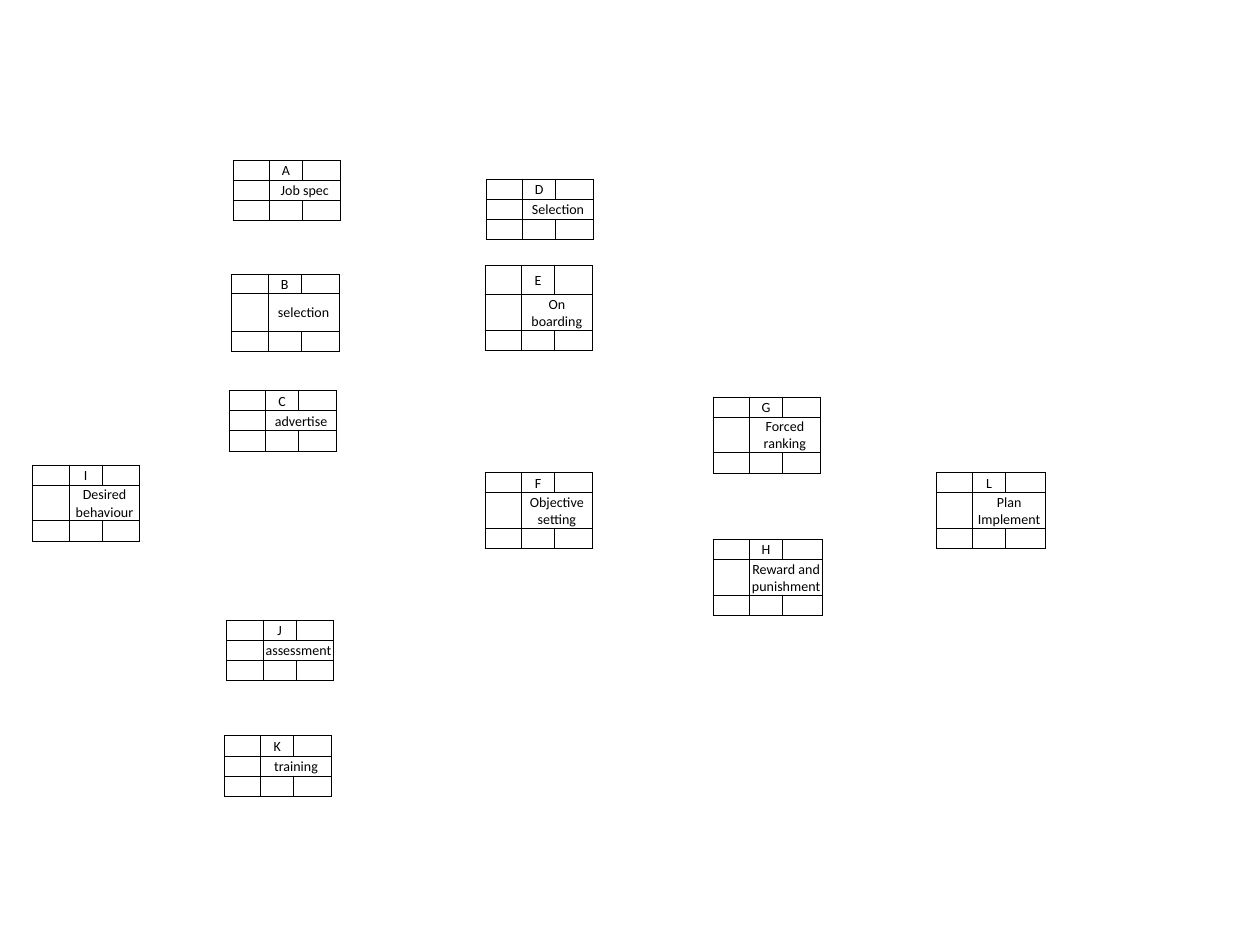
from lxml import etree
from pptx import Presentation
from pptx.dml.color import RGBColor
from pptx.enum import text
from pptx.oxml import ns
from pptx.util import Inches, Pt

BLACK = RGBColor(0, 0, 0)
FONT, SIZE, BORDER = "Calibri", Pt(8), Pt(0.5)
COLS = (0.29, 0.26, 0.3)
WIDE = (0.29, 0.26, 0.32)
ONE_LINE = (0.16, 0.16, 0.16)
TWO_LINES = (0.16, 0.28, 0.16)

# Activity boxes: letter, task, left, top, row heights, column widths
ACTIVITIES = [
    ("I", "Desired behaviour", 0.26, 3.69, TWO_LINES, COLS),
    ("A", "Job spec", 1.85, 1.27, ONE_LINE, COLS),
    ("B", "selection", 1.84, 2.18, (0.15, 0.3, 0.16), COLS),
    ("C", "advertise", 1.82, 3.1, ONE_LINE, COLS),
    ("F", "Objective setting", 3.85, 3.75, TWO_LINES, COLS),
    ("J", "assessment", 1.8, 4.92, ONE_LINE, COLS),
    ("K", "training", 1.78, 5.84, ONE_LINE, COLS),
    ("H", "Reward and punishment", 5.66, 4.28, TWO_LINES, WIDE),
    ("G", "Forced ranking", 5.66, 3.15, TWO_LINES, COLS),
    ("L", "Plan Implement", 7.43, 3.75, TWO_LINES, WIDE),
    ("E", "On boarding", 3.85, 2.11, (0.23, 0.28, 0.16), COLS),
    ("D", "Selection", 3.86, 1.42, ONE_LINE, COLS),
]


def style_cell(cell):
    """Thin black borders, no fill, tight margins, small centred text."""
    tcPr = cell._tc.get_or_add_tcPr()
    for side in ("lnL", "lnR", "lnT", "lnB"):
        ln = etree.SubElement(tcPr, ns.qn(f"a:{side}"), w=str(int(BORDER)))
        fill = etree.SubElement(ln, ns.qn("a:solidFill"))
        etree.SubElement(fill, ns.qn("a:srgbClr"), val=str(BLACK))
    cell.fill.background()
    cell.margin_left = cell.margin_right = cell.margin_top = Inches(0.01)
    cell.margin_bottom = 0
    cell.vertical_anchor = text.MSO_ANCHOR.MIDDLE
    p = cell.text_frame.paragraphs[0]
    p.alignment = text.PP_ALIGN.CENTER
    for r in p.runs:
        r.font.name, r.font.size = FONT, SIZE
        r.font.color.rgb = BLACK
    # Keeps the rows of empty cells low
    etree.SubElement(p._p, ns.qn("a:endParaRPr"), sz=str(int(SIZE.pt * 100)))


def add_activity(s, letter, task, left, top, rows, cols):
    frame = s.shapes.add_table(len(rows), len(cols), Inches(left), Inches(top),
                               Inches(sum(cols)), Inches(sum(rows)))
    table = frame.table
    table.first_row = table.horz_banding = False
    for row, height in zip(table.rows, rows):
        row.height = Inches(height)
    for col, width in zip(table.columns, cols):
        col.width = Inches(width)
    table.cell(1, 1).merge(table.cell(1, 2))
    table.cell(0, 1).text_frame.text = letter
    table.cell(1, 1).text_frame.text = task
    for cell in table.iter_cells():
        style_cell(cell)


def main():
    prs = Presentation()
    prs.slide_width, prs.slide_height = Inches(10), Inches(7.5)
    s = prs.slides.add_slide(prs.slide_layouts[6])
    for activity in ACTIVITIES:
        add_activity(s, *activity)
    prs.save("out.pptx")


if __name__ == "__main__":
    main()
